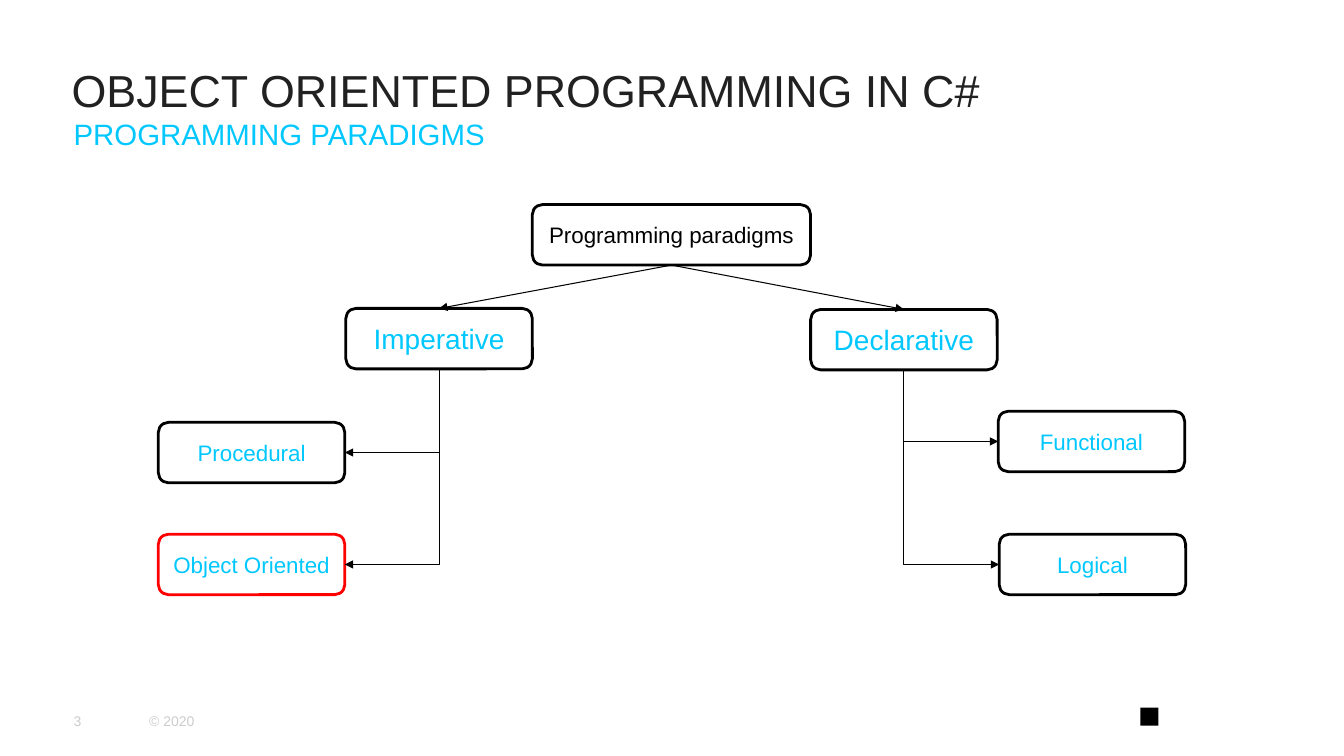
"""Builds a slide with a tree of programming paradigms."""
from dataclasses import dataclass

from lxml import etree
from pptx import Presentation
from pptx import util as u
from pptx.dml.color import RGBColor
from pptx.enum import shapes, text
from pptx.oxml.ns import qn


@dataclass(frozen=True)
class Theme:
    """Colours, type sizes and line widths of the slide."""
    font: str = "Arial"
    black: str = "000000"
    white: str = "FFFFFF"
    accent: str = "00C8FF"
    highlight: str = "FF0000"
    heading: str = "212121"
    muted: str = "CCCCCC"
    title_size: float = 32
    subtitle_size: float = 21
    branch_size: float = 20
    node_size: float = 16
    footer_size: float = 10
    border: float = 2
    arrow: float = 0.75


@dataclass(frozen=True)
class Box:
    """A rectangle in inches."""
    left: float
    top: float
    width: float
    height: float

    def inside(self, left, top, width, height):
        """Return a box placed relative to this one."""
        return Box(self.left + left, self.top + top, width, height)

    def lengths(self):
        """Return the four lengths for a shape."""
        return [u.Inches(n) for n in (self.left, self.top, self.width, self.height)]


THEME = Theme()
NODE_WIDTH, NODE_HEIGHT = 1.85, 0.6


def write(shape, words, size, colour, anchor, align=text.PP_ALIGN.LEFT, inset=None):
    """Write one formatted paragraph into a shape."""
    frame = shape.text_frame
    frame.word_wrap = True
    frame.auto_size = text.MSO_AUTO_SIZE.NONE
    frame.vertical_anchor = anchor
    if inset is not None:
        frame.margin_left = frame.margin_right = u.Inches(inset)
        frame.margin_top = frame.margin_bottom = u.Inches(inset)
    para = frame.paragraphs[0]
    para.alignment = align
    para.space_before = u.Pt(0)
    span = para.add_run()
    span.text = words
    span.font.name = THEME.font
    span.font.size = u.Pt(size)
    span.font.color.rgb = RGBColor.from_string(colour)
    return para


def place(shape, box):
    """Move a placeholder into a box."""
    shape.left, shape.top, shape.width, shape.height = box.lengths()


def add_header(page, box):
    """Fill the title and subtitle placeholders."""
    title, subtitle = page.shapes.title, page.placeholders[1]
    place(title, box.inside(0, 0, box.width, 1.15))
    write(title, "OBJECT ORIENTED PROGRAMMING IN C#", THEME.title_size,
          THEME.heading, text.MSO_ANCHOR.BOTTOM, inset=0)
    place(subtitle, box.inside(0.02, 1.14, box.width - 0.03, 0.44))
    para = write(subtitle, "PROGRAMMING PARADIGMS", THEME.subtitle_size,
                 THEME.accent, text.MSO_ANCHOR.TOP, inset=0)
    props = para._p.get_or_add_pPr()
    props.set("marL", "0")
    props.set("indent", "0")
    etree.SubElement(props, qn("a:buNone"))


def add_node(page, box, words, size=THEME.node_size, colour=THEME.accent,
             border=THEME.black):
    """Draw a rounded box with a centred label."""
    node = page.shapes.add_shape(shapes.MSO_SHAPE.ROUNDED_RECTANGLE, *box.lengths())
    node.shadow.inherit = False
    node.fill.solid()
    node.fill.fore_color.rgb = RGBColor.from_string(THEME.white)
    node.line.color.rgb = RGBColor.from_string(border)
    node.line.width = u.Pt(THEME.border)
    write(node, words, size, colour, text.MSO_ANCHOR.MIDDLE, text.PP_ALIGN.CENTER)
    return node


def style_arrow(arrow):
    """Give a connector a thin black line and a triangle at its end."""
    arrow.line.color.rgb = RGBColor.from_string(THEME.black)
    arrow.line.width = u.Pt(THEME.arrow)
    etree.SubElement(arrow.line._get_or_add_ln(), qn("a:tailEnd"), type="triangle")
    etree.SubElement(arrow._element.spPr, qn("a:effectLst"))


def add_straight_arrow(page, parent, child):
    """Join the bottom of the parent to the top of the child."""
    arrow = page.shapes.add_connector(shapes.MSO_CONNECTOR.STRAIGHT, 0, 0, 0, 0)
    arrow.begin_connect(parent, 2)
    arrow.end_connect(child, 0)
    style_arrow(arrow)


def add_bent_arrow(page, parent, child):
    """Run down from the parent, then sideways to the near side of the child."""
    start_x = parent.left + parent.width // 2
    start_y = parent.top + parent.height
    rightward = child.left > start_x
    end_x = child.left if rightward else child.left + child.width
    end_y = child.top + child.height // 2
    drop, reach = end_y - start_y, abs(end_x - start_x)
    left = (start_x + end_x - drop) // 2
    top = (start_y + end_y - reach) // 2
    ends = (left + drop, left) if rightward else (left, left + drop)
    arrow = page.shapes.add_connector(
        shapes.MSO_CONNECTOR.ELBOW, ends[0], top, ends[1], top + reach)
    props = arrow._element.spPr
    props.find(qn("a:xfrm")).set("rot", str((270 if rightward else 90) * 60000))
    props.find(qn("a:prstGeom")).set("prst", "bentConnector2")
    style_arrow(arrow)


def add_tree(page, box):
    """Draw the root, its two branches and their leaves."""
    branches = [
        ("Imperative", 1.86, 1.03,
         [("Procedural", 0, 2.16, THEME.black),
          ("Object Oriented", 0, 3.27, THEME.highlight)]),
        ("Declarative", 6.47, 1.04,
         [("Functional", 8.33, 2.05, THEME.black),
          ("Logical", 8.34, 3.27, THEME.black)]),
    ]
    root = add_node(page, box.inside(3.71, 0, 2.76, NODE_HEIGHT),
                    "Programming paradigms", colour=THEME.black)
    for name, left, top, leaves in branches:
        branch = add_node(page, box.inside(left, top, NODE_WIDTH, NODE_HEIGHT),
                          name, THEME.branch_size)
        add_straight_arrow(page, root, branch)
        for label, leaf_left, leaf_top, border in leaves:
            leaf_box = box.inside(leaf_left, leaf_top, NODE_WIDTH, NODE_HEIGHT)
            leaf = add_node(page, leaf_box, label, border=border)
            add_bent_arrow(page, branch, leaf)


def add_footer(page, box):
    """Write the page number and copyright, with a plain mark at the right."""
    for words, left, width in (("3", 0, 0.74), ("© 2020", 0.75, 1.08)):
        label = page.shapes.add_textbox(
            *box.inside(left, 0, width, box.height).lengths())
        write(label, words, THEME.footer_size, THEME.muted,
              text.MSO_ANCHOR.MIDDLE, inset=0)
    mark = page.shapes.add_shape(
        shapes.MSO_SHAPE.RECTANGLE, *box.inside(10.58, 0.07, 0.18, 0.18).lengths())
    mark.shadow.inherit = False
    mark.fill.solid()
    mark.fill.fore_color.rgb = RGBColor.from_string(THEME.black)
    mark.line.fill.background()


def main():
    """Build and save the deck."""
    deck = Presentation()
    deck.slide_width, deck.slide_height = u.Inches(13.33), u.Inches(7.5)
    page = deck.slides.add_slide(deck.slide_layouts[1])
    add_header(page, Box(0.71, 0.01, 11.9, 1.58))
    add_tree(page, Box(1.57, 2.03, 10.19, 3.87))
    add_footer(page, Box(0.73, 6.95, 11.87, 0.4))
    deck.save("out.pptx")


if __name__ == "__main__":
    main()
